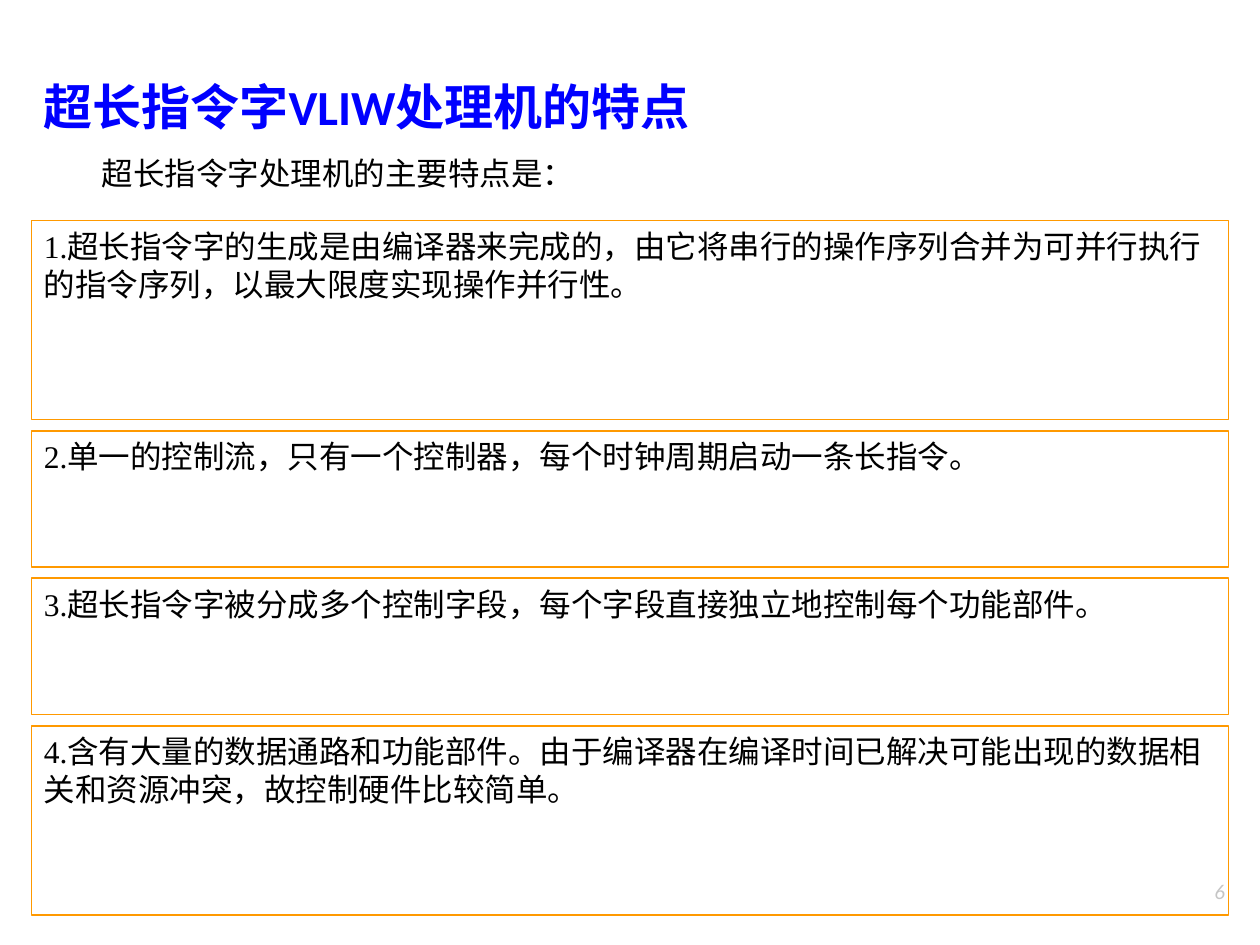
import pptx
import pptx.dml.color
import pptx.enum.shapes
import pptx.enum.text
import pptx.oxml
import pptx.oxml.ns
import pptx.util
from pptx.util import Inches

COLORS = {"title": "0000FF", "body": "000000", "number": "8C8C8C",
          "border": "FF9900", "panel": "FFFFFF"}
LATIN, SERIF = "Calibri", "Times New Roman"
ALIGN = pptx.enum.text.PP_ALIGN
ANCHOR = pptx.enum.text.MSO_ANCHOR

TITLE = "超长指令字VLIW处理机的特点"
INTRO = "超长指令字处理机的主要特点是："
PAGE_NUMBER = "6"
# Text and panel height in inches
FEATURES = [
    ("1.超长指令字的生成是由编译器来完成的，由它将串行的操作序列合并为可并行执行的指令序列，以最大限度实现操作并行性。", 1.58),
    ("2.单一的控制流，只有一个控制器，每个时钟周期启动一条长指令。", 1.08),
    ("3.超长指令字被分成多个控制字段，每个字段直接独立地控制每个功能部件。", 1.08),
    ("4.含有大量的数据通路和功能部件。由于编译器在编译时间已解决可能出现的数据相关和资源冲突，故控制硬件比较简单。", 1.5),
]
PANEL_LEFT, PANEL_TOP, PANEL_WIDTH, PANEL_GAP = 0.25, 1.75, 9.5, 0.09


def rgb(name):
    return pptx.dml.color.RGBColor.from_string(COLORS[name])


def write_text(shape, text, *, size=18, font=SERIF, color="body", bold=False,
               italic=False, align=ALIGN.LEFT, anchor=ANCHOR.TOP, indent=0):
    frame = shape.text_frame
    frame.word_wrap = True
    frame.vertical_anchor = anchor
    paragraph = frame.paragraphs[0]
    paragraph.alignment = align
    if indent:
        paragraph._p.get_or_add_pPr().set("indent", str(Inches(indent)))
    run = paragraph.add_run()
    run.text = text
    run.font.size = pptx.util.Pt(size)
    run.font.name = font
    run.font.bold = bold
    run.font.italic = italic
    run.font.color.rgb = rgb(color)
    east_asian = pptx.oxml.ns.qn("a:ea")
    run._r.get_or_add_rPr().makeelement(east_asian)
    latin = run._r.rPr.find(pptx.oxml.ns.qn("a:latin"))
    latin.addnext(latin.makeelement(east_asian, {"typeface": LATIN}))


def add_text(slide, box, text, **text_format):
    shape = slide.shapes.add_textbox(*map(Inches, box))
    write_text(shape, text, **text_format)


def add_panel(slide, top, height, text):
    """Add a bordered, half-transparent panel."""
    box = (PANEL_LEFT, top, PANEL_WIDTH, height)
    shape = slide.shapes.add_shape(
        pptx.enum.shapes.MSO_SHAPE.RECTANGLE, *map(Inches, box))
    shape.shadow.inherit = False
    shape.fill.solid()
    shape.fill.fore_color.rgb = rgb("panel")
    fill_color = shape._element.spPr.find(".//" + pptx.oxml.ns.qn("a:srgbClr"))
    alpha = fill_color.makeelement(pptx.oxml.ns.qn("a:alpha"), {"val": "50000"})
    fill_color.append(alpha)
    shape.line.color.rgb = rgb("border")
    shape.line.width = pptx.util.Pt(1)
    write_text(shape, text)


def main():
    presentation = pptx.Presentation()
    presentation.slide_width, presentation.slide_height = Inches(10), Inches(7.5)
    slide = presentation.slides.add_slide(presentation.slide_layouts[6])

    add_text(slide, (7.74, 6.82, 2.08, 0.5), PAGE_NUMBER, size=12, font=LATIN,
             color="number", italic=True, align=ALIGN.RIGHT, anchor=ANCHOR.MIDDLE)
    add_text(slide, (0.25, 0.56, 7.67, 0.6), TITLE, size=28, font=LATIN,
             color="title", bold=True, align=ALIGN.JUSTIFY)
    add_text(slide, (0.5, 1.17, 8.75, 0.58), INTRO, indent=0.21)

    top = PANEL_TOP
    for text, height in FEATURES:
        add_panel(slide, top, height, text)
        top += height + PANEL_GAP
    presentation.save("out.pptx")


if __name__ == "__main__":
    main()
